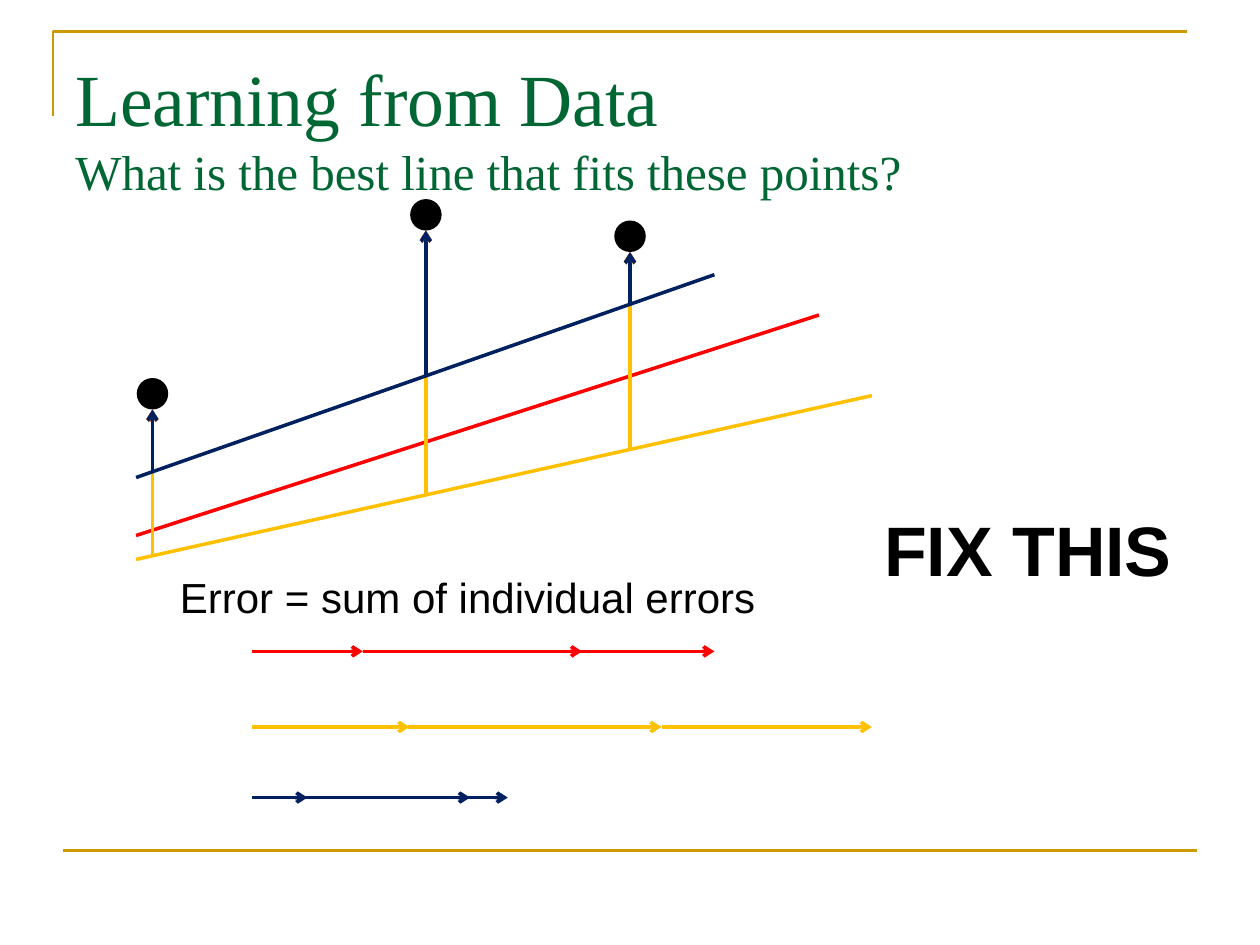
from lxml import etree
from pptx import Presentation
from pptx import util as u
from pptx.dml.color import RGBColor
from pptx.enum import shapes, text
from pptx.oxml.ns import qn

COLORS = {"gold": "CC9900", "green": "006633", "black": "000000",
          "red": "FF0000", "yellow": "FFC000", "navy": "002060"}

presentation = Presentation()
presentation.slide_width, presentation.slide_height = u.Inches(10), u.Inches(7.5)
slide = presentation.slides.add_slide(presentation.slide_layouts[6])


def add_line(start, end, color, width=2, arrow=False):
    line = slide.shapes.add_connector(
        shapes.MSO_CONNECTOR.STRAIGHT, *(u.Inches(v) for v in (*start, *end)))
    line.line.color.rgb = RGBColor.from_string(COLORS[color])
    line.line.width = u.Pt(width)
    properties = line._element.spPr
    if arrow:
        etree.SubElement(properties.find(qn("a:ln")), qn("a:tailEnd"), type="arrow")
    etree.SubElement(properties, qn("a:effectLst"))


def add_text(box, content, sizes, font, color, bold=False, wrap=False):
    """Add a text box; sizes holds one point size per line of content."""
    shape = slide.shapes.add_textbox(*(u.Inches(v) for v in box))
    frame = shape.text_frame
    frame.word_wrap = wrap
    frame.vertical_anchor = text.MSO_ANCHOR.TOP
    frame.text = content
    for run, size in zip(frame.paragraphs[0].runs, sizes):
        run.font.size = u.Pt(size)
        run.font.name = font
        run.font.bold = bold
        run.font.color.rgb = RGBColor.from_string(COLORS[color])
    return frame


# Frame and title
builder = slide.shapes.build_freeform(u.Inches(0.42), u.Inches(0.92))
builder.add_line_segments(
    [(u.Inches(0.42), u.Inches(0.25)), (u.Inches(9.42), u.Inches(0.25))], close=False)
corner = builder.convert_to_shape()
corner.shadow.inherit = False
corner.fill.background()
corner.line.color.rgb = RGBColor.from_string(COLORS["gold"])
corner.line.width = u.Pt(1.5)
add_line((0.5, 6.75), (9.5, 6.75), "gold", 1.5)

title = add_text((0.5, 0.3, 9, 1.25),
                 "Learning from Data \vWhat is the best line that fits these points?",
                 (42, 28), "Times New Roman", "green", wrap=True)
title.margin_top = u.Inches(0.12)

# Data points: centre x and top y
DIAMETER = 0.25
points = [(1.21, 3), (3.38, 1.58), (5, 1.75)]
for x, top in points:
    dot = slide.shapes.add_shape(
        shapes.MSO_SHAPE.OVAL, u.Inches(x - DIAMETER / 2), u.Inches(top),
        u.Inches(DIAMETER), u.Inches(DIAMETER))
    dot.shadow.inherit = False
    dot.fill.solid()
    dot.fill.fore_color.rgb = RGBColor.from_string(COLORS["black"])
    dot.line.fill.background()

# Each fit: colour, line ends, error arrow feet, row and stops of the error sum
fits = [
    ("red", (1.08, 4.25), (6.5, 2.5), (4.17, 3.5, 3),
     5.17, ((2, 2.88), (2.88, 4.62), (4.58, 5.67))),
    ("yellow", (1.08, 4.44), (6.92, 3.14), (4.42, 3.92, 3.58),
     5.77, ((2, 3.25), (3.24, 5.25), (5.25, 6.92))),
    ("navy", (1.08, 3.79), (5.67, 2.18), (3.75, 2.98, 2.41),
     6.33, ((2, 2.44), (2.42, 3.73), (3.67, 4.03))),
]
for color, start, end, feet, row, stops in fits:
    add_line(start, end, color)
    for (x, top), foot in zip(points, feet):
        add_line((x, foot), (x, top + DIAMETER), color, arrow=True)
    for left, right in stops:
        add_line((left, row), (right, row), color, arrow=True)

# Captions
add_text((1.33, 4.49, 5, 0.5), "Error = sum of individual errors",
         (24,), "Arial", "black")
add_text((6.92, 3.97, 2.66, 0.77), "FIX THIS", (40,), "Arial", "black", bold=True)

presentation.save("out.pptx")
